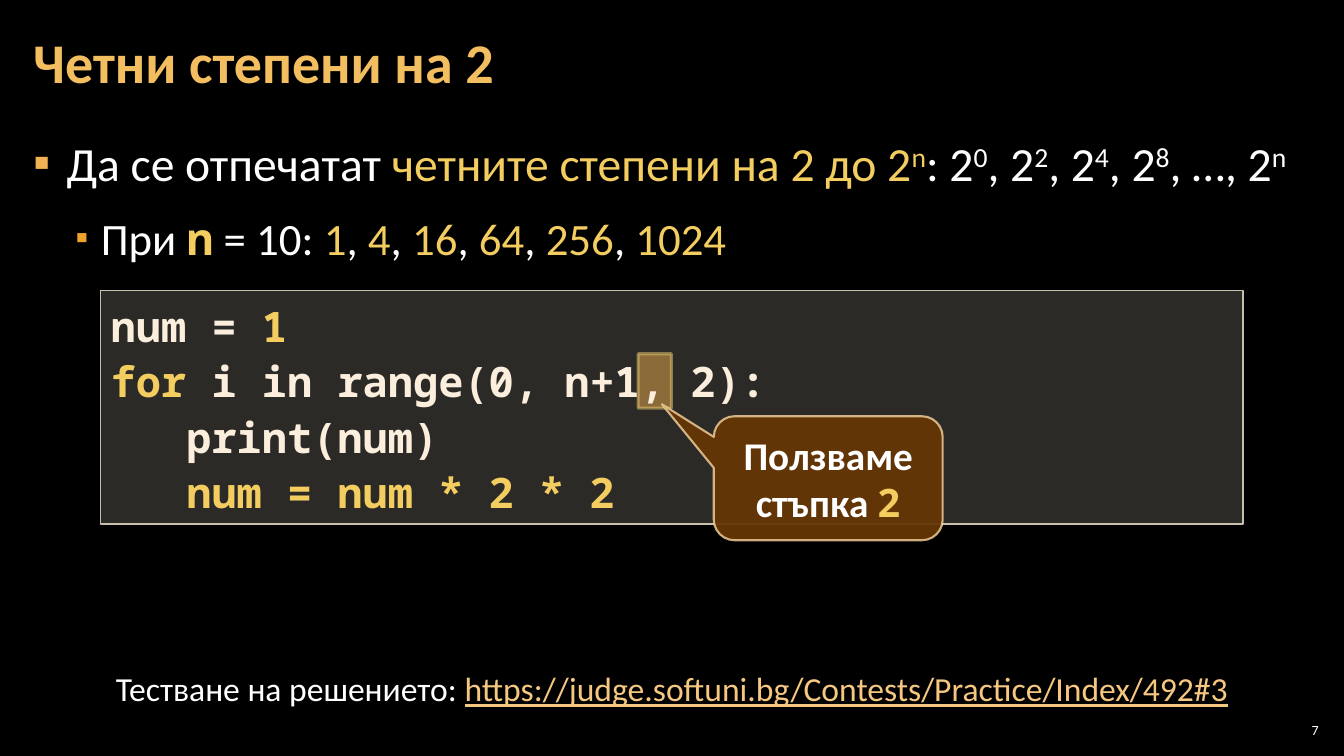
from lxml import etree
from pptx import Presentation
from pptx.dml.color import RGBColor
from pptx.enum.shapes import MSO_SHAPE as Shape
from pptx.enum.text import MSO_ANCHOR as Anchor, PP_ALIGN as Align
from pptx.oxml.ns import qn
from pptx.util import Inches, Pt

COLORS = {
    "background": "000000", "white": "FFFFFF", "title": "F3BE60",
    "accent": "F3CD60", "code": "FBEEDC", "link": "F6C781",
    "bullet": "F2B254", "sub_bullet": "F0A22E", "highlight": "F0A22E",
    "code_fill": "D9D5C7", "code_line": "C7BFAC",
    "callout_fill": "663606", "callout_line": "F8D49E",
}
SANS, MONO = "Calibri", "Noto Sans Mono"


def rgb(name):
    return RGBColor.from_string(COLORS[name])


def paint(fill, color, opacity=100):
    """Solid fill, with transparency where opacity is below 100 percent."""
    fill.solid()
    fill.fore_color.rgb = rgb(color)
    if opacity < 100:
        tint = fill._xPr.find(qn("a:solidFill"))[0]
        etree.SubElement(tint, qn("a:alpha"), val=str(opacity * 1000))


def add_box(slide, kind, place, fill, line, line_width):
    box = slide.shapes.add_shape(kind, *map(Inches, place))
    box.shadow.inherit = False
    paint(box.fill, *fill)
    paint(box.line.fill, *line)
    box.line.width = Pt(line_width)
    return box


def set_frame(shape, anchor=Anchor.TOP, side=0.1, top=0.05):
    frame = shape.text_frame
    frame.word_wrap = True
    frame.vertical_anchor = anchor
    frame.margin_left = frame.margin_right = Inches(side)
    frame.margin_top = frame.margin_bottom = Inches(top)
    return frame


def add_text(slide, place, **frame_options):
    return set_frame(slide.shapes.add_textbox(*map(Inches, place)), **frame_options)


def add_run(paragraph, text, size, color="white", font=SANS, bold=False,
            underline=False, raised=False):
    run = paragraph.add_run()
    run.text = text
    run.font.size = Pt(size)
    run.font.name = font
    run.font.bold = bold
    run.font.underline = underline
    run.font.color.rgb = rgb(color)
    if raised:
        run.font._element.set("baseline", "30000")


def set_bullet(paragraph, color, left, hanging, percent=100):
    props = paragraph._p.get_or_add_pPr()
    props.set("marL", str(Inches(left)))
    props.set("indent", str(-Inches(hanging)))
    tint = etree.SubElement(props, qn("a:buClr"))
    etree.SubElement(tint, qn("a:srgbClr"), val=COLORS[color])
    etree.SubElement(props, qn("a:buSzPct"), val=str(percent * 1000))
    etree.SubElement(props, qn("a:buFont"), typeface=SANS)
    etree.SubElement(props, qn("a:buChar"), char="▪")
    paragraph.line_spacing = 1.05
    paragraph.space_after = Pt(6)


def add_task(slide):
    frame = add_text(slide, (0.21, 1.26, 12.91, 6.09), side=0.12, top=0.04)

    # Task with powers as superscripts
    task = frame.paragraphs[0]
    set_bullet(task, "bullet", 0.33, 0.33)
    add_run(task, "Да се отпечатат ", 34)
    powers = [("четните степени на 2 до 2", "n", "accent"), (": 2", "0", "white")]
    powers += [(", 2", power, "white") for power in "248"]
    powers.append((", …, 2", "n", "white"))
    for base, power, color in powers:
        add_run(task, base, 34, color)
        add_run(task, power, 34, color, raised=True)

    # Example values
    example = frame.add_paragraph()
    example.level = 1
    set_bullet(example, "sub_bullet", 0.67, 0.25, percent=80)
    example.space_before = Pt(6)
    add_run(example, "При ", 32)
    add_run(example, "n", 32, "accent", MONO, bold=True)
    separator = " = 10: "
    for exponent in range(0, 11, 2):
        add_run(example, separator, 32)
        add_run(example, str(2 ** exponent), 32, "accent")
        separator = ", "


def add_code(slide):
    box = add_box(slide, Shape.RECTANGLE, (1, 2.88, 11.33, 2.32),
                  ("code_fill", 20), ("code_line",), 1)
    frame = set_frame(box)
    lines = [
        [("num = ", "code"), ("1", "accent")],
        [("for ", "accent"), ("i in range(0, n+1, 2):", "code")],
        [("   print(num)", "code")],
        [("   num = num * 2 * 2", "accent")],
    ]
    for index, pieces in enumerate(lines):
        line = frame.add_paragraph() if index else frame.paragraphs[0]
        line.alignment = Align.LEFT
        line.line_spacing = 1.1
        for text, color in pieces:
            add_run(line, text, 30, color, MONO, bold=True)


def add_callout(slide):
    callout = add_box(slide, Shape.ROUNDED_RECTANGULAR_CALLOUT, (7.08, 4.13, 2.27, 1.23),
                      ("callout_fill", 95), ("callout_line", 80), 1.5)
    for index, value in enumerate((-0.727, -0.597, 0.167)):
        callout.adjustments[index] = value
    note = set_frame(callout, Anchor.MIDDLE).paragraphs[0]
    note.alignment = Align.CENTER
    add_run(note, "Ползваме стъпка ", 28, bold=True)
    add_run(note, "2", 28, "accent", MONO, bold=True)


def main():
    deck = Presentation()
    deck.slide_width, deck.slide_height = Inches(13.33), Inches(7.5)
    slide = deck.slides.add_slide(deck.slide_layouts[6])
    paint(slide.background.fill, "background")

    # Highlight behind the step argument
    add_box(slide, Shape.RECTANGLE, (6.33, 3.51, 0.33, 0.54),
            ("highlight", 50), ("accent", 50), 2.25)

    # Slide number
    number = add_text(slide, (12.65, 7.14, 0.47, 0.21), anchor=Anchor.MIDDLE,
                      side=0.04, top=0.04).paragraphs[0]
    number.alignment = Align.RIGHT
    add_run(number, "7", 10)

    # Title
    title = add_text(slide, (0.21, 0.04, 10.47, 1.21), anchor=Anchor.MIDDLE,
                     side=0.12, top=0.04).paragraphs[0]
    title.line_spacing = 0.9
    add_run(title, "Четни степени на 2", 40, "title", bold=True)

    add_task(slide)
    add_code(slide)

    # Where to test the solution
    testing = add_text(slide, (0.83, 6.58, 11.67, 0.5)).paragraphs[0]
    testing.alignment = Align.CENTER
    add_run(testing, "Тестване на решението: ", 24)
    add_run(testing, "https://judge.softuni.bg/Contests/Practice/Index/492#3",
            24, "link", underline=True)

    add_callout(slide)
    deck.save("out.pptx")


if __name__ == "__main__":
    main()
